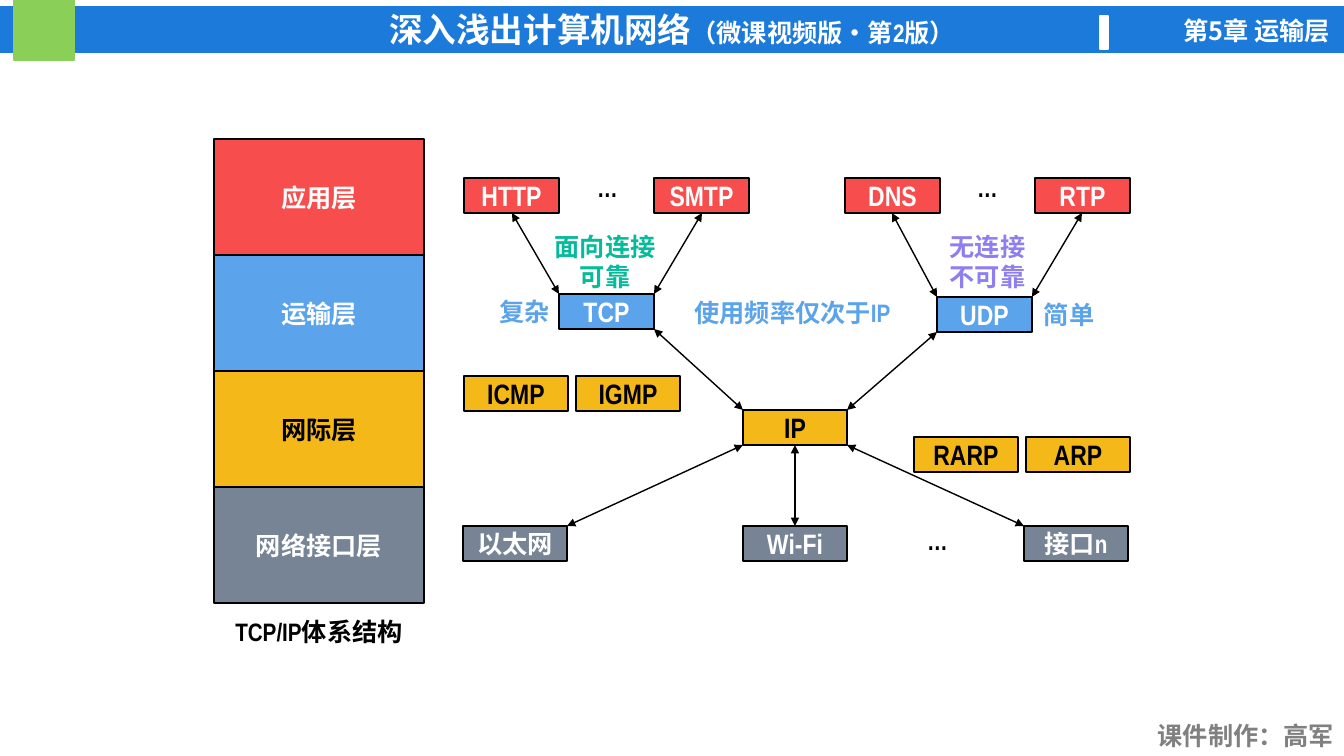
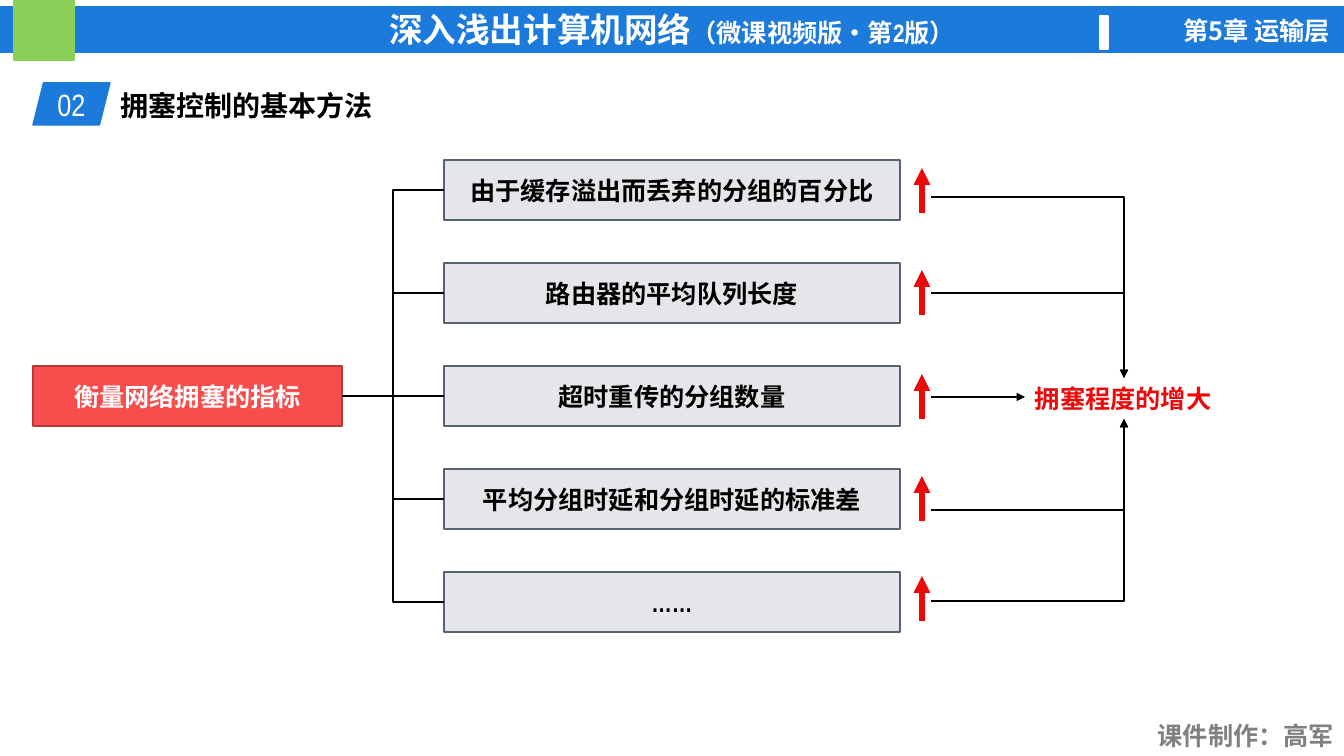
from dataclasses import dataclass
from typing import Any

from lxml import etree
from pptx import Presentation
from pptx import util as u
from pptx.dml import color as dml
from pptx.enum import shapes, text
from pptx.oxml import ns

WIDTH, HEIGHT = 1344, 756
EMU_PER_PX = 914400 / 100.8
LATIN, EAST_ASIAN = "Arial Narrow", "Noto Sans CJK SC"
BLUE, GREEN, WHITE, BLACK, GREY = "1B7ADA", "8ACF57", "FFFFFF", "000000", "808080"
CORAL, SKY, AMBER, SLATE, RED = "F84D4D", "5BA3EB", "F4B919", "778495", "EB0909"
TEAL, VIOLET, PALE, PALE_EDGE, CORAL_EDGE = "06BB9A", "8E7EF0", "E4E6EA", "586371", "B73939"
LEFT, CENTER, RIGHT = text.PP_ALIGN.LEFT, text.PP_ALIGN.CENTER, text.PP_ALIGN.RIGHT
RECTANGLE = shapes.MSO_SHAPE.RECTANGLE

Point = tuple[int, int]


@dataclass(frozen=True)
class Box:
    label: str
    left: int
    top: int
    width: int
    height: int
    fill: str
    edge: str = BLACK
    ink: str = WHITE
    size: int = 18
    bold: bool = True
    preset: Any = RECTANGLE

    def at(self, across: float, down: float) -> Point:
        return round(self.left + self.width * across), round(self.top + self.height * down)


@dataclass(frozen=True)
class Label:
    content: str
    left: int
    top: int
    width: int
    height: int = 40
    ink: str = BLACK
    align: Any = CENTER
    font: str = LATIN


@dataclass(frozen=True)
class Link:
    start: str
    start_corner: tuple[float, float]
    end: str
    end_corner: tuple[float, float]


@dataclass(frozen=True)
class Metric:
    name: str
    arrow_bottom: int
    exit_y: int


def px(value: float) -> u.Emu:
    return u.Emu(round(value * EMU_PER_PX))


def rgb(value: str) -> dml.RGBColor:
    return dml.RGBColor.from_string(value)


def write_text(paragraph: Any, content: str, *, size: int = 18, ink: str = BLACK,
               bold: bool = True, align: Any = CENTER, font: str = LATIN) -> None:
    paragraph.alignment = align
    run = paragraph.add_run()
    run.text = content
    run.font.size = u.Pt(size)
    run.font.bold = bold
    run.font.name = font
    run.font.color.rgb = rgb(ink)
    etree.SubElement(run._r.get_or_add_rPr(), ns.qn("a:ea"), typeface=EAST_ASIAN)


def add_box(slide: Any, box: Box) -> Any:
    shape = slide.shapes.add_shape(box.preset, px(box.left), px(box.top), px(box.width), px(box.height))
    shape.shadow.inherit = False
    shape.fill.solid()
    shape.fill.fore_color.rgb = rgb(box.fill)
    shape.line.color.rgb = rgb(box.edge)
    shape.line.width = u.Pt(1)
    frame = shape.text_frame
    frame.margin_left = frame.margin_right = frame.margin_top = frame.margin_bottom = 0
    frame.vertical_anchor = text.MSO_ANCHOR.MIDDLE
    if box.label:
        write_text(frame.paragraphs[0], box.label, size=box.size, ink=box.ink, bold=box.bold)
    return shape


def add_label(slide: Any, label: Label) -> Any:
    shape = slide.shapes.add_textbox(px(label.left), px(label.top), px(label.width), px(label.height))
    frame = shape.text_frame
    frame.word_wrap = True
    frame.auto_size = text.MSO_AUTO_SIZE.SHAPE_TO_FIT_TEXT
    for index, line in enumerate(label.content.split("\n")):
        paragraph = frame.add_paragraph() if index else frame.paragraphs[0]
        write_text(paragraph, line, ink=label.ink, align=label.align, font=label.font)
    return shape


def add_line(slide: Any, start: Point, end: Point, *, ink: str = BLACK, width: int = 2,
             ends: tuple[str, ...] = (), preset: str = "line") -> None:
    connector = slide.shapes.add_connector(
        shapes.MSO_CONNECTOR.STRAIGHT, *(px(value) for value in start + end))
    connector.line.color.rgb = rgb(ink)
    connector.line.width = u.Pt(width)
    properties = connector.element.spPr
    properties.find(ns.qn("a:prstGeom")).set("prst", preset)
    for end_name in ends:
        etree.SubElement(properties.find(ns.qn("a:ln")), ns.qn(f"a:{end_name}"), type="triangle")
    etree.SubElement(properties, ns.qn("a:effectLst"))


def move_frame_to_master(slide: Any, master: Any) -> None:
    band = add_box(slide, Box("深入浅出计算机网络", 0, 7, WIDTH, 45, BLUE, BLUE, size=24))
    write_text(band.text_frame.paragraphs[0], "（微课视频版•第2版）", ink=WHITE)
    parts = [
        band,
        add_box(slide, Box("", 14, 0, 60, 60, GREEN, GREEN)),
        add_box(slide, Box("", 1100, 16, 8, 33, WHITE, WHITE)),
        add_label(slide, Label("第5章 运输层", 1120, 10, 220, ink=WHITE, align=RIGHT, font=EAST_ASIAN)),
        add_label(slide, Label("课件制作：高军", 1143, 715, 201, ink=GREY, align=RIGHT)),
    ]
    for part in parts:
        master.shapes.element.append(part.element)


LAYERS = [("应用层", CORAL, WHITE), ("运输层", SKY, WHITE),
          ("网际层", AMBER, BLACK), ("网络接口层", SLATE, WHITE)]

PROTOCOLS = [
    *(Box(name, left, 178, 95, 35, CORAL, size=20)
      for name, left in [("HTTP", 464), ("SMTP", 654), ("DNS", 845), ("RTP", 1035)]),
    Box("TCP", 559, 294, 95, 35, SKY, size=20),
    Box("UDP", 937, 297, 95, 35, SKY, size=20),
    *(Box(name, left, top, 104, 35, AMBER, ink=BLACK, size=20)
      for name, left, top in [("ICMP", 464, 376), ("IGMP", 576, 376), ("RARP", 914, 437),
                              ("ARP", 1026, 437), ("IP", 743, 410)]),
    *(Box(name, left, 526, 104, 35, SLATE, size=size)
      for name, left, size in [("以太网", 463, 18), ("Wi-Fi", 743, 20), ("接口n", 1024, 18)]),
]

LINKS = [
    Link("TCP", (0, 0), "HTTP", (0.5, 1)),
    Link("TCP", (1, 0), "SMTP", (0.5, 1)),
    Link("UDP", (0, 0), "DNS", (0.5, 1)),
    Link("UDP", (1, 0), "RTP", (0.5, 1)),
    Link("IP", (0, 0), "TCP", (1, 1)),
    Link("IP", (1, 0), "UDP", (0, 1)),
    Link("接口n", (0, 0), "IP", (1, 1)),
    Link("Wi-Fi", (0.5, 0), "IP", (0.5, 1)),
    Link("以太网", (1, 0), "IP", (0, 1)),
]

STACK_LABELS = [
    Label("简单", 1034, 294, 93, ink=SKY, align=LEFT),
    Label("复杂", 467, 291, 93, ink=SKY, align=RIGHT),
    Label("面向连接\n可靠", 542, 226, 126, 72, TEAL),
    Label("无连接\n不可靠", 924, 226, 127, 72, VIOLET),
    Label("使用频率仅次于IP", 675, 292, 235, ink=SKY),
    Label("TCP/IP体系结构", 214, 611, 210),
    *(Label("…", left, top, 145) for left, top in [(535, 167), (915, 167), (865, 520)]),
]

METRICS = [
    Metric("由于缓存溢出而丢弃的分组的百分比", 213, 197),
    Metric("路由器的平均队列长度", 315, 293),
    Metric("超时重传的分组数量", 419, 397),
    Metric("平均分组时延和分组时延的标准差", 521, 510),
    Metric("……", 621, 601),
]


def draw_protocol_stack(slide: Any) -> None:
    for index, (name, fill, ink) in enumerate(LAYERS):
        add_box(slide, Box(name, 214, 139 + 116 * index, 210, 116, fill, ink=ink))
    for protocol in PROTOCOLS:
        add_box(slide, protocol)
    by_name = {protocol.label: protocol for protocol in PROTOCOLS}
    for link in LINKS:
        add_line(slide, by_name[link.start].at(*link.start_corner),
                 by_name[link.end].at(*link.end_corner), width=1, ends=("headEnd", "tailEnd"))
    for label in STACK_LABELS:
        add_label(slide, label)


def format_title(slide: Any, content: str) -> None:
    title = slide.shapes.title
    title.left, title.top, title.width, title.height = px(110), px(83), px(606), px(44)
    frame = title.text_frame
    frame.word_wrap = True
    frame.auto_size = text.MSO_AUTO_SIZE.NONE
    frame.vertical_anchor = text.MSO_ANCHOR.TOP
    write_text(frame.paragraphs[0], content, size=20, align=LEFT)


def draw_congestion_metrics(slide: Any) -> None:
    format_title(slide, "拥塞控制的基本方法")
    add_box(slide, Box("02", 33, 83, 77, 42, BLUE, BLUE, size=22, bold=False,
                       preset=shapes.MSO_SHAPE.PARALLELOGRAM))
    source = Box("衡量网络拥塞的指标", 33, 366, 309, 60, CORAL, CORAL_EDGE)
    add_box(slide, source)
    add_label(slide, Label("拥塞程度的增大", 1025, 378, 198, ink=RED, align=LEFT))
    target_x, target_top, target_middle, target_bottom = 1124, 378, 397, 419
    exit_x, arrow_x, arrow_length = 931, 922, 45

    for index, metric in enumerate(METRICS):
        box = Box(metric.name, 444, 160 + 103 * index, 456, 60, PALE, PALE_EDGE, ink=BLACK)
        add_box(slide, box)
        start, end = source.at(1, 0.5), box.at(0, 0.5)
        add_line(slide, start, end, preset="line" if start[1] == end[1] else "bentConnector3")
        add_line(slide, (arrow_x, metric.arrow_bottom), (arrow_x, metric.arrow_bottom - arrow_length),
                 ink=RED, width=4, ends=("tailEnd",))
        if metric.exit_y == target_middle:
            goal, preset = (1025, target_middle), "line"
        else:
            goal = (target_x, target_top if metric.exit_y < target_middle else target_bottom)
            preset = "bentConnector2"
        add_line(slide, (exit_x, metric.exit_y), goal, ends=("tailEnd",), preset=preset)


def main() -> None:
    presentation = Presentation()
    presentation.slide_width, presentation.slide_height = px(WIDTH), px(HEIGHT)
    title_only, blank = presentation.slide_layouts[5], presentation.slide_layouts[6]
    stack_slide = presentation.slides.add_slide(blank)
    move_frame_to_master(stack_slide, presentation.slide_master)
    draw_protocol_stack(stack_slide)
    draw_congestion_metrics(presentation.slides.add_slide(title_only))
    presentation.save("out.pptx")


if __name__ == "__main__":
    main()
